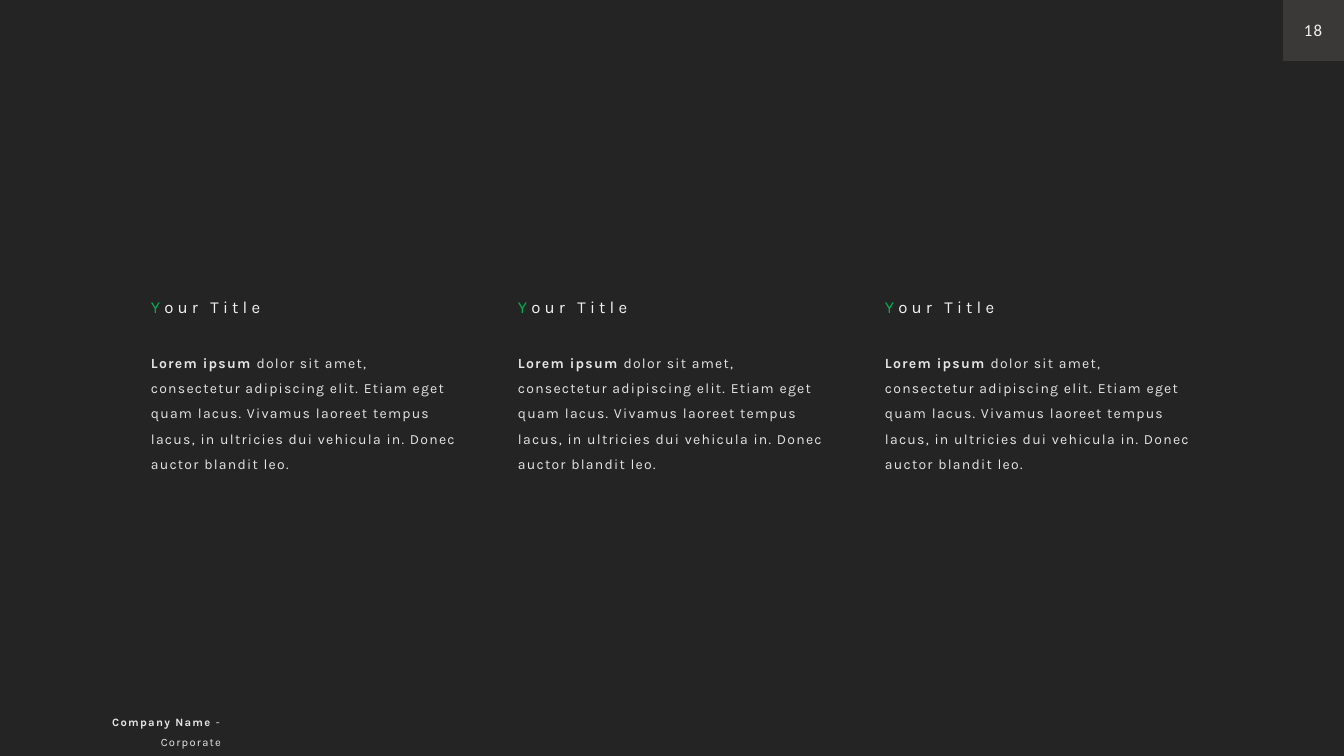
from lxml.etree import SubElement
from pptx import Presentation
from pptx.dml.color import RGBColor
from pptx.enum.shapes import MSO_SHAPE
from pptx.enum.text import MSO_ANCHOR, MSO_AUTO_SIZE, PP_ALIGN
from pptx.oxml.ns import qn
from pptx.util import Emu, Pt

EMU_PER_PX = 914400 / 100.8
PAGE_WIDTH, PAGE_HEIGHT = 1344, 756
COLUMN_LEFT, COLUMN_PITCH, COLUMN_COUNT = 141, 367, 3
BADGE_SIZE = 61
COLORS = {
    "background": "242424",
    "badge": "3B3838",
    "accent": "00B050",
    "heading": "F2F2F2",
    "body": "E7E6E6",
}
BODY_TEXT = (
    "dolor sit amet, consectetur adipiscing elit. Etiam eget quam lacus. "
    "Vivamus laoreet tempus lacus, in ultricies dui vehicula in. "
    "Donec auctor blandit leo."
)


def px(length):
    return Emu(round(length * EMU_PER_PX))


def color(name):
    return RGBColor.from_string(COLORS[name])


def add_panel(page, left, top, width, height, fill, opacity=100):
    panel = page.shapes.add_shape(
        MSO_SHAPE.RECTANGLE, px(left), px(top), px(width), px(height)
    )
    panel.shadow.inherit = False
    panel.fill.solid()
    panel.fill.fore_color.rgb = color(fill)
    panel.line.fill.background()
    if opacity < 100:
        tint = panel.fill._xPr.find(qn("a:solidFill"))[0]
        SubElement(tint, qn("a:alpha"), val=str(opacity * 1000))


def add_text(page, left, top, width, height, spans, size, tracking,
             font="Karla", align=PP_ALIGN.LEFT, anchor=MSO_ANCHOR.TOP,
             line_spacing=None, wrap=True):
    box = page.shapes.add_textbox(px(left), px(top), px(width), px(height))
    frame = box.text_frame
    frame.word_wrap = wrap
    frame.auto_size = MSO_AUTO_SIZE.SHAPE_TO_FIT_TEXT
    frame.vertical_anchor = anchor
    para = frame.paragraphs[0]
    para.alignment = align
    para.line_spacing = line_spacing
    para.font.name = font
    para.font.size = Pt(size)
    for text, color_name, bold in spans:
        span = para.add_run()
        span.text = text
        span.font.bold = bold
        span.font.color.rgb = color(color_name)
        span._r.get_or_add_rPr().set("spc", str(round(tracking * 100)))


def add_column(page, left):
    add_text(page, left, 341, 328, 109,
             [("Lorem ipsum ", "body", True), (BODY_TEXT, "body", False)],
             size=10, tracking=0.9, line_spacing=1.5)
    add_text(page, left, 292, 265, 30,
             [("Y", "accent", False), ("our Title", "heading", False)],
             size=12, tracking=3, anchor=MSO_ANCHOR.MIDDLE)


def add_page_number(page, number):
    add_panel(page, PAGE_WIDTH - BADGE_SIZE, 0, BADGE_SIZE, BADGE_SIZE, "badge")
    add_text(page, 1293, 15, 40, 30, [(number, "heading", False)],
             size=12, tracking=0.9, font="Calibri", align=PP_ALIGN.CENTER,
             anchor=MSO_ANCHOR.MIDDLE, wrap=False)


def add_footer(page):
    add_text(page, 47, 704, 184, 28,
             [("Company Name ", "body", True), ("- Corporate", "body", False)],
             size=8, tracking=0.9, align=PP_ALIGN.RIGHT, line_spacing=1.5)


def main():
    deck = Presentation()
    deck.slide_width, deck.slide_height = px(PAGE_WIDTH), px(PAGE_HEIGHT)
    page = deck.slides.add_slide(deck.slide_layouts[6])
    page.background.fill.solid()
    page.background.fill.fore_color.rgb = color("background")
    add_panel(page, 0, 0, PAGE_WIDTH, PAGE_HEIGHT, "background", opacity=80)
    for column in range(COLUMN_COUNT):
        add_column(page, COLUMN_LEFT + column * COLUMN_PITCH)
    add_page_number(page, "18")
    add_footer(page)
    deck.save("out.pptx")


if __name__ == "__main__":
    main()
